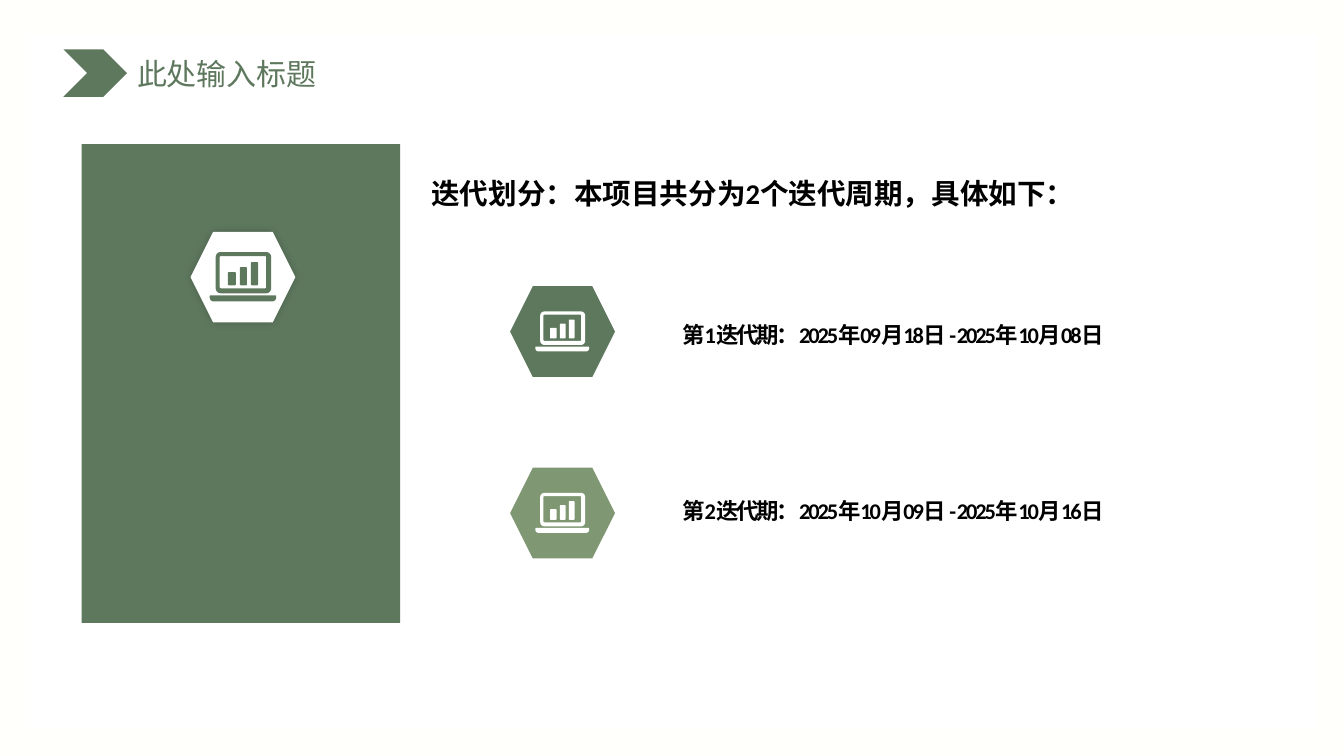
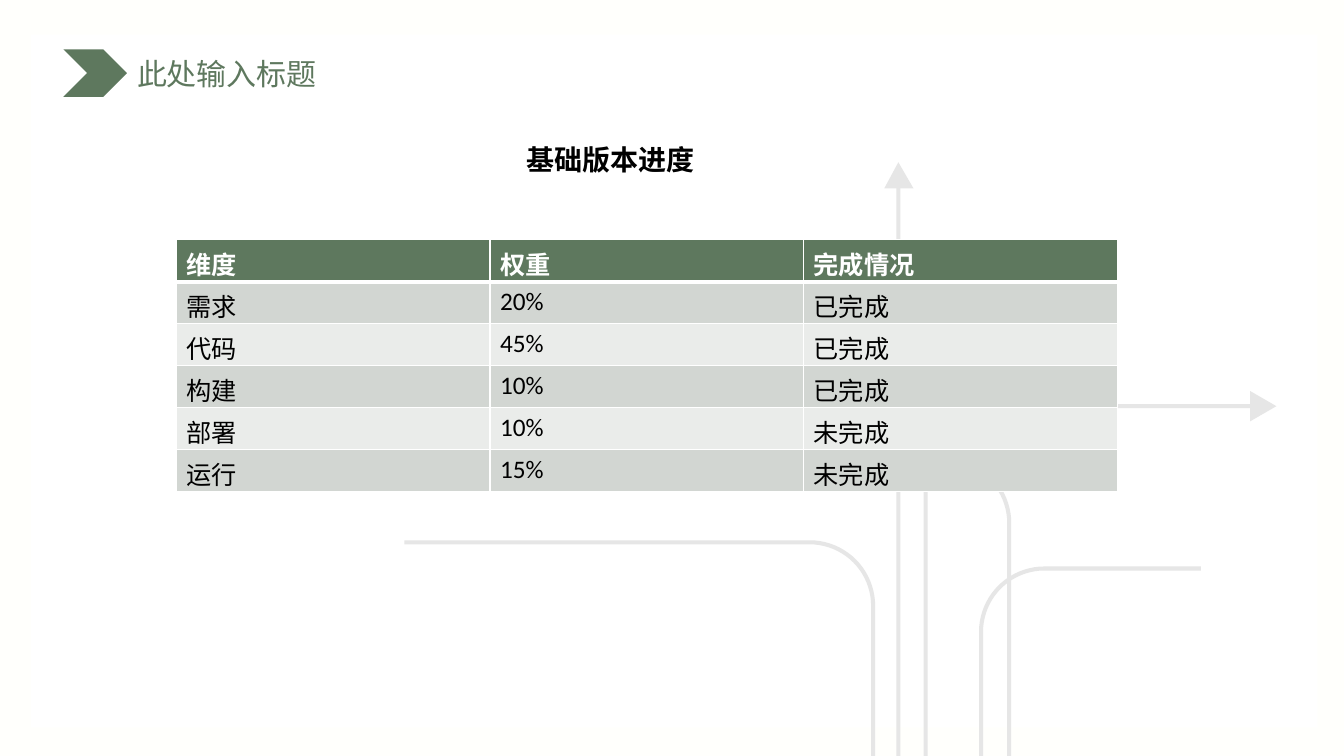
from dataclasses import dataclass
from itertools import product
from math import cos, pi, sin
from typing import NamedTuple

from lxml.etree import SubElement
from pptx import Presentation
from pptx.dml.color import RGBColor
from pptx.enum.shapes import MSO_SHAPE
from pptx.enum.text import MSO_ANCHOR, MSO_AUTO_SIZE, PP_ALIGN
from pptx.oxml.ns import qn
from pptx.shapes.autoshape import Shape
from pptx.slide import Slide
from pptx.text.text import TextFrame
from pptx.util import Inches, Pt


@dataclass(frozen=True)
class Theme:
    page: str = "FFFFFC"
    white: str = "FFFFFF"
    black: str = "000000"
    green: str = "5E785E"
    sage: str = "7F9772"
    road: str = "E6E6E6"
    bands: tuple[str, str] = ("D2D6D2", "EAECEA")
    latin: str = "Calibri"
    asian: str = "Noto Sans CJK SC"
    title: float = 21.4
    lead: float = 20.4
    head: float = 20
    cell: float = 18
    body: float = 16


class Box(NamedTuple):
    left: float
    top: float
    width: float
    height: float


class Part(NamedTuple):
    box: Box
    upper: float
    lower: float


class Phase(NamedTuple):
    top: float
    line: float
    fill: str
    text: str


class Road(NamedTuple):
    far: float
    row: float
    lane: float


Point = tuple[float, float]
THEME = Theme()
PANEL = Box(0.31, 0.34, 12.76, 6.88)
BEND = 0.63
STROKE = 0.04
FLOOR = 7.5

LAPTOP = [
    Part(Box(0, 0.43, 0.66, 0.06), 0.01, 0.04),
    Part(Box(0.18, 0.2, 0.08, 0.13), 0.01, 0.01),
    Part(Box(0.3, 0.15, 0.07, 0.18), 0.01, 0.01),
    Part(Box(0.41, 0.1, 0.07, 0.23), 0.01, 0.01),
    Part(Box(0.06, 0, 0.55, 0.41), 0.05, 0.05),
    Part(Box(0.1, 0.04, 0.46, 0.32), 0.01, 0.01),
]
PHASES = [
    Phase(2.84, 3.06, THEME.green, "第1迭代期：2025年09月18日 - 2025年10月08日"),
    Phase(4.64, 4.81, THEME.sage, "第2迭代期：2025年10月09日 - 2025年10月16日"),
]
ROADS = [
    Road(6.84, 4.56, 10.01),
    Road(12.4, 4.03, 9.18),
    Road(4.01, 5.38, 8.66),
    Road(11.91, 5.64, 9.73),
]
HEADS = [
    [(12.4, 3.88), (12.66, 4.03), (12.4, 4.18)],
    [(8.77, 1.87), (8.91, 1.61), (9.06, 1.87)],
]
ROWS = [
    ("维度", "权重", "完成情况"),
    ("需求", "20%", "已完成"),
    ("代码", "45%", "已完成"),
    ("构建", "10%", "已完成"),
    ("部署", "10%", "未完成"),
    ("运行", "15%", "未完成"),
]


def rgb(code: str) -> RGBColor:
    return RGBColor.from_string(code)


def span(box: Box) -> tuple[int, ...]:
    return tuple(Inches(side) for side in box)


def write(frame: TextFrame, text: str, *, size: float, color: str = THEME.black,
          bold: bool = False, face: str = THEME.latin, space: float = 0,
          lead: float | None = None, align: PP_ALIGN | None = None) -> None:
    para = frame.paragraphs[0]
    para.alignment = align
    para.line_spacing = lead
    run = para.add_run()
    run.text = text
    font = run.font
    font.name, font.size, font.bold = face, Pt(size), bold
    font.color.rgb = rgb(color)
    props = run._r.get_or_add_rPr()
    SubElement(props, qn("a:ea"), typeface=THEME.asian)
    if space:
        props.set("spc", str(round(space * 100)))


def label(slide: Slide, box: Box, text: str, **form) -> None:
    frame = slide.shapes.add_textbox(*span(box)).text_frame
    frame.word_wrap = True
    frame.vertical_anchor = MSO_ANCHOR.MIDDLE
    write(frame, text, bold=True, **form)


def paint(shape: Shape, fill: str) -> Shape:
    shape.shadow.inherit = False
    shape.fill.solid()
    shape.fill.fore_color.rgb = rgb(fill)
    shape.line.fill.background()
    return shape


def block(slide: Slide, kind: MSO_SHAPE, box: Box, fill: str) -> Shape:
    return paint(slide.shapes.add_shape(kind, *span(box)), fill)


def trace(slide: Slide, loops: list[list[Point]], close: bool = True) -> Shape:
    paths = [[(Inches(x), Inches(y)) for x, y in loop] for loop in loops]
    pen = slide.shapes.build_freeform(*paths[0][0], scale=1.0)
    for index, path in enumerate(paths):
        if index:
            pen.move_to(*path[0])
        pen.add_line_segments(path[1:], close=close)
    return pen.convert_to_shape()


def arc(x: float, y: float, size: float, start: float, sweep: float,
        steps: int) -> list[Point]:
    turns = [start + sweep * step / steps for step in range(steps + 1)]
    return [(x + size * cos(turn), y + size * sin(turn)) for turn in turns]


def outline(part: Part) -> list[Point]:
    left, top, width, height = part.box
    up, low = part.upper, part.lower
    right, base = left + width, top + height
    spots = [
        (left + up, top + up, up), (right - up, top + up, up),
        (right - low, base - low, low), (left + low, base - low, low),
    ]
    return [point for turn, (x, y, size) in enumerate(spots)
            for point in arc(x, y, size, pi + turn * pi / 2, pi / 2, 5)]


def laptop(slide: Slide, left: float, top: float, scale: float, fill: str) -> None:
    loops = [[(left + x * scale, top + y * scale) for x, y in outline(part)]
             for part in LAPTOP]
    paint(trace(slide, loops), fill)


def badge(slide: Slide, left: float, top: float, fill: str) -> Shape:
    return block(slide, MSO_SHAPE.HEXAGON, Box(left, top, 1.04, 0.9), fill)


def glow(shape: Shape) -> None:
    effects = shape.element.spPr.find(qn("a:effectLst"))
    shade = SubElement(effects, qn("a:outerShdw"), blurRad=str(Pt(6)),
                       dist="0", dir=str(315 * 60000), algn="ctr", rotWithShape="0")
    tint = SubElement(shade, qn("a:srgbClr"), val=THEME.black)
    SubElement(tint, qn("a:alpha"), val="20000")


def start(deck: Presentation) -> Slide:
    slide = deck.slides.add_slide(deck.slide_layouts[5])
    block(slide, MSO_SHAPE.RECTANGLE, PANEL, THEME.white)
    block(slide, MSO_SHAPE.CHEVRON, Box(0.63, 0.49, 0.63, 0.47), THEME.green)
    title = slide.shapes.title
    title.left, title.top, title.width, title.height = span(Box(1.26, 0.5, 2.68, 0.46))
    frame = title.text_frame
    frame.auto_size = MSO_AUTO_SIZE.NONE
    frame.vertical_anchor = MSO_ANCHOR.MIDDLE
    write(frame, "此处输入标题", size=THEME.title, color=THEME.green,
          face=THEME.asian, align=PP_ALIGN.JUSTIFY)
    slide.shapes.element.append(title.element)
    return slide


def bend(slide: Slide, road: Road) -> None:
    side = 1 if road.far < road.lane else -1
    curve = arc(road.lane - side * BEND, road.row + BEND, BEND, -pi / 2, side * pi / 2, 20)
    points = [(road.far, road.row), *curve, (road.lane, FLOOR)]
    shape = trace(slide, [points], close=False)
    shape.shadow.inherit = False
    shape.fill.background()
    shape.line.color.rgb = rgb(THEME.road)
    shape.line.width = Inches(STROKE)


def edge(cell, above: float, below: float) -> None:
    props = cell._tc.get_or_add_tcPr()
    for name, width in (("L", 1), ("R", 1), ("T", above), ("B", below)):
        line = SubElement(props, qn(f"a:ln{name}"), w=str(Pt(width)))
        fill = SubElement(line, qn("a:solidFill"))
        SubElement(fill, qn("a:srgbClr"), val=THEME.white)


def grid(slide: Slide, box: Box) -> None:
    count, wide = len(ROWS), len(ROWS[0])
    table = slide.shapes.add_table(count, wide, *span(box)).table
    for row, col in product(range(count), range(wide)):
        cell = table.cell(row, col)
        head = row == 0
        cell.margin_bottom = 0
        edge(cell, 3 if row == 1 else 1, 3 if head else 1)
        cell.fill.solid()
        cell.fill.fore_color.rgb = rgb(THEME.green if head else THEME.bands[(row - 1) % 2])
        write(cell.text_frame, ROWS[row][col], size=THEME.cell, bold=head,
              color=THEME.white if head else THEME.black)


def plan(deck: Presentation) -> None:
    slide = start(deck)
    block(slide, MSO_SHAPE.RECTANGLE, Box(0.81, 1.43, 3.16, 4.75), THEME.green)
    glow(badge(slide, 1.89, 2.3, THEME.white))
    laptop(slide, 2.08, 2.5, 1, THEME.green)
    label(slide, Box(4.18, 1.61, 7, 0.51),
          "迭代划分：本项目共分为2个迭代周期，具体如下：", size=THEME.lead, lead=1.3)
    for phase in PHASES:
        badge(slide, 5.06, phase.top, phase.fill)
        laptop(slide, 5.31, phase.top + 0.25, 0.81, THEME.white)
        label(slide, Box(6.67, phase.line, 5.6, 0.51), phase.text,
              size=THEME.body, space=-1.5)


def status(deck: Presentation) -> None:
    slide = start(deck)
    for road in ROADS:
        bend(slide, road)
    block(slide, MSO_SHAPE.RECTANGLE, Box(8.89, 1.83, STROKE, 5.67), THEME.road)
    for head in HEADS:
        paint(trace(slide, [head]), THEME.road)
    label(slide, Box(5.12, 1.3, 3.09, 0.57), "基础版本进度", size=THEME.head)
    grid(slide, Box(1.75, 2.38, 9.33, 2.5))


def main() -> None:
    deck = Presentation()
    deck.slide_width, deck.slide_height = Inches(13.33), Inches(7.5)
    back = deck.slide_master.background.fill
    back.solid()
    back.fore_color.rgb = rgb(THEME.page)
    plan(deck)
    status(deck)
    deck.save("out.pptx")


if __name__ == "__main__":
    main()
